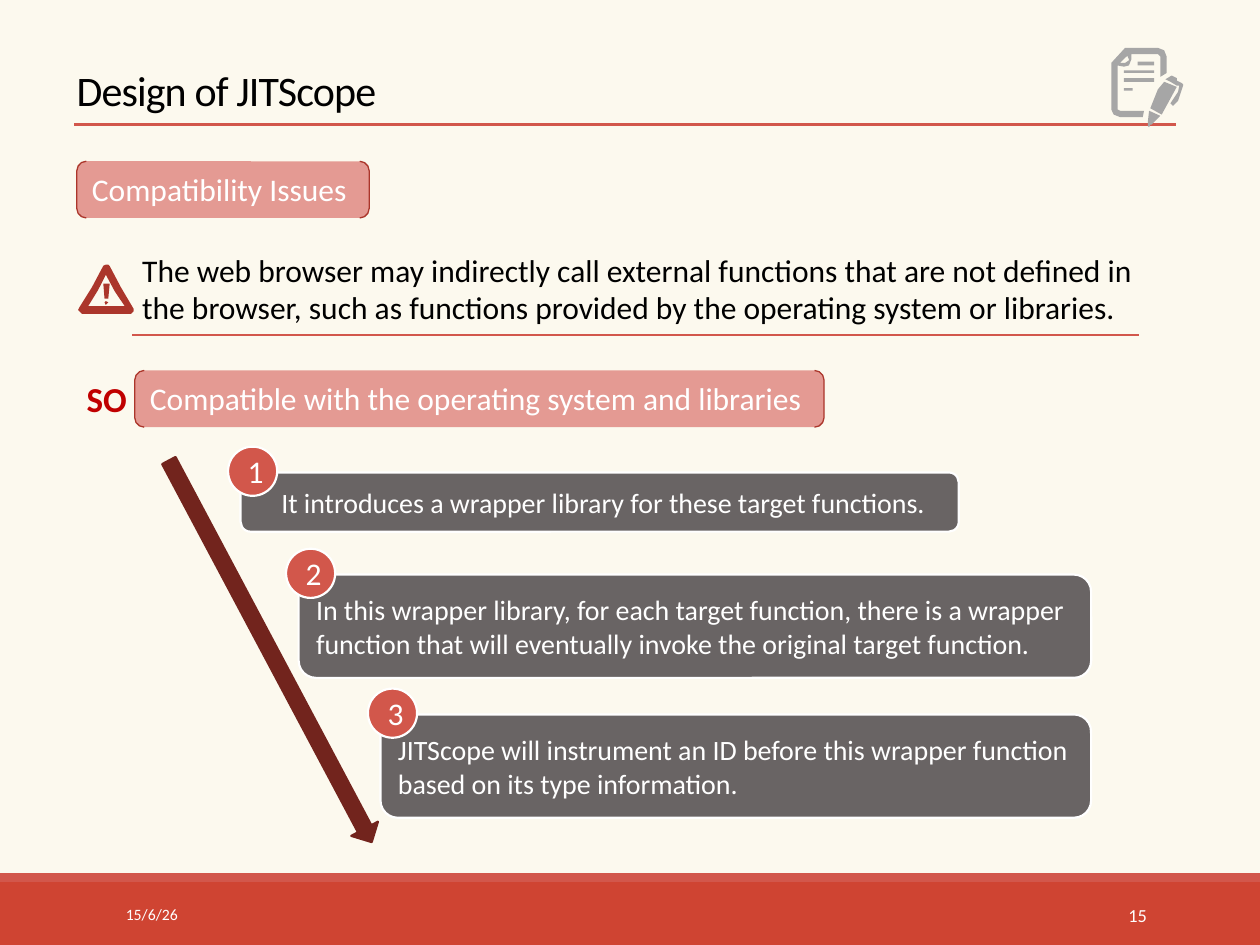
from lxml.etree import SubElement
from pptx import Presentation
from pptx.dml.color import RGBColor
from pptx.enum.shapes import MSO_CONNECTOR, MSO_SHAPE
from pptx.enum.text import MSO_ANCHOR, PP_ALIGN
from pptx.oxml.ns import qn
from pptx.util import Inches, Pt

COLS, ROWS = 100, 75
UNIT = Inches(10) / COLS
FONT = "Calibri"
HUES = {
    "paper": "FCF9EE", "band": "CF4432", "coral": "D2574B", "pink": "E49A93",
    "brick": "AB362B", "wine": "72241D", "slate": "696464", "gray": "A6A6A6",
    "red": "C00000", "white": "FFFFFF", "black": "000000",
}


def block(x0, y0, x1, y1):
    """Return the corners of a rectangle as one contour."""
    return [(x0, y0), (x1, y0), (x1, y1), (x0, y1)]


NOTE = [
    [(13, 0), (37, 0), (42, 2), (44, 7), (44, 20), (39, 23), (39, 7), (37, 5),
     (16, 5), (16, 9), (14, 14), (10, 15), (5, 14), (5, 49), (7, 50), (26, 50),
     (25, 55), (7, 55), (2, 53), (0, 49), (0, 12), (11, 0)],
    [(52, 26), (52, 24), (48, 22), (43, 25), (47, 27), (52, 30), (54, 30),
     (53, 35), (47, 44), (49, 46), (53, 42), (57, 30), (57, 29), (56, 28)],
    [(42, 27), (37, 33), (31, 48), (40, 53), (52, 31)],
    [(30, 50), (29, 59), (29, 62), (30, 63), (31, 61), (32, 61), (39, 54)],
    block(10, 32, 17, 34), block(10, 24, 34, 27),
    block(10, 18, 34, 20), block(21, 11, 34, 14),
    [(7, 12), (11, 12), (14, 10), (14, 9), (13, 7), (13, 6)],
]
ALERT = [
    [(25, 2), (34, 19), (44, 36), (44, 38), (42, 40), (3, 40), (0, 37),
     (1, 35), (11, 19), (20, 2), (22, 1), (24, 1)],
    [(22, 9), (16, 21), (8, 34), (37, 34), (29, 22)],
    [(20, 16), (21, 28), (24, 28), (25, 17), (25, 16)],
    [(22, 33), (24, 31), (22, 30), (21, 31)],
]
STEPS = [
    ((19.1, 37.5, 57, 4.7), 0.3,
     "It introduces a wrapper library for these target functions."),
    ((23.7, 45.6, 62.9, 8.2), 0.1,
     "In this wrapper library, for each target function, there is a wrapper "
     "function that will eventually invoke the original target function."),
    ((30.2, 56.7, 56.4, 8.2), 0.1,
     "JITScope will instrument an ID before this wrapper function "
     "based on its type information."),
]


def tone(name):
    """Return a named colour."""
    return RGBColor.from_string(HUES[name])


def grid(*cells):
    """Turn grid cells into lengths."""
    return [round(cell * UNIT) for cell in cells]


def paint(shape, fill, line=None, width=1.25):
    """Set the fill and outline of a shape."""
    shape.shadow.inherit = False
    shape.fill.solid()
    shape.fill.fore_color.rgb = tone(fill)
    if line:
        shape.line.color.rgb = tone(line)
        shape.line.width = Pt(width)
    else:
        shape.line.fill.background()
    return shape


def write(shape, text, size, hue="white", anchor=MSO_ANCHOR.TOP,
          align=PP_ALIGN.LEFT, bold=False):
    """Put one run of text in a shape."""
    frame = shape.text_frame
    frame.word_wrap = True
    frame.vertical_anchor = anchor
    para = frame.paragraphs[0]
    para.alignment = align
    run = para.add_run()
    run.text = text
    font = run.font
    font.name, font.size, font.bold = FONT, Pt(size), bold
    font.color.rgb = tone(hue)
    return para


def form(slide, kind, box, fill, line=None, width=1.25):
    """Add a painted preset shape in a grid box."""
    return paint(slide.shapes.add_shape(kind, *grid(*box)), fill, line, width)


def label(slide, box, text, size, **style):
    """Add a text box in a grid box."""
    return write(slide.shapes.add_textbox(*grid(*box)), text, size, **style)


def rule(slide, x0, x1, y, width):
    """Add a level coral line."""
    line = slide.shapes.add_connector(MSO_CONNECTOR.STRAIGHT, *grid(x0, y, x1, y))
    line.line.color.rgb = tone("coral")
    line.line.width = Pt(width)
    SubElement(line._element.spPr, qn("a:effectLst"))


def icon(slide, left, top, paths, fill):
    """Draw contours, in tenths of a cell, as one freeform."""
    pen = slide.shapes.build_freeform(*paths[0][0], scale=UNIT / 10)
    for path in paths:
        pen.move_to(*path[0])
        pen.add_line_segments(path[1:], close=True)
    paint(pen.convert_to_shape(*grid(left, top)), fill)


def footer(slide, top):
    """Draw the bottom band with date and page number."""
    form(slide, MSO_SHAPE.RECTANGLE, (0, top, COLS, ROWS - top), "band")
    form(slide, MSO_SHAPE.RECTANGLE, (0, top - 0.7, COLS, 0.7), "coral")
    mid = MSO_ANCHOR.MIDDLE
    label(slide, (9, top + 0.6, 20.3, 4), "15/6/26", 9, anchor=mid)
    label(slide, (81.2, top + 0.6, 10.8, 4), "15", 10.5, anchor=mid,
          align=PP_ALIGN.RIGHT)


def header(slide, left, top):
    """Draw the title, its rule and the note icon."""
    para = label(slide, (left, top, 75, 6), "Design of JITScope", 24,
                 hue="black", anchor=MSO_ANCHOR.BOTTOM)
    para.line_spacing = 0.85
    para.runs[0].font._element.set("spc", "-50")
    rule(slide, left + 0.8, left + 88.2, top + 6.3, 1.5)
    icon(slide, left + 83.1, top + 0.2, NOTE, "gray")


def tag(slide, box, text):
    """Draw a pink heading between brackets."""
    shape = form(slide, MSO_SHAPE.DOUBLE_BRACKET, box, "pink", "brick", 0.75)
    write(shape, text, 18)


def issue(slide, left, top):
    """Draw the problem statement with its alert icon."""
    tag(slide, (left, top, 23.2, 4.5), "Compatibility Issues")
    label(slide, (left + 4.2, top + 6.6, 82.1, 7.1),
          "The web browser may indirectly call external functions that are not "
          "defined in the browser, such as functions provided by the operating "
          "system or libraries.", 18, hue="black")
    icon(slide, left + 0.1, top + 8.1, ALERT, "brick")
    rule(slide, left + 4.4, left + 84.3, top + 13.8, 1)


def answer(slide, left, top):
    """Draw the conclusion and the slanted arrow below it."""
    tag(slide, (left + 4.8, top, 54.7, 4.5),
        "Compatible with the operating system and libraries")
    label(slide, (left, top + 0.1, 6.6, 4.4), "SO", 20, hue="red", bold=True)
    arrow = form(slide, MSO_SHAPE.RIGHT_ARROW,
                 (left - 1.6, top + 21.1, 34.3, 2.4), "wine", "wine")
    arrow.rotation = 62


def step(slide, box, num, inset, text):
    """Draw one step with its numbered badge."""
    mid = MSO_ANCHOR.MIDDLE
    card = form(slide, MSO_SHAPE.ROUNDED_RECTANGLE, box, "slate", "white")
    card.text_frame.margin_left = Inches(inset)
    write(card, text, 16, anchor=mid)
    badge = form(slide, MSO_SHAPE.OVAL, (box[0] - 1, box[1] - 2.05, 3.9, 3.9),
                 "coral", "white")
    write(badge, str(num), 18, anchor=mid, align=PP_ALIGN.CENTER)


def main():
    """Build and save the slide."""
    deck = Presentation()
    deck.slide_width, deck.slide_height = grid(COLS, ROWS)
    slide = deck.slides.add_slide(deck.slide_layouts[6])
    back = slide.background.fill
    back.solid()
    back.fore_color.rgb = tone("paper")
    footer(slide, 70)
    header(slide, 5.1, 3.6)
    issue(slide, 6.1, 12.8)
    answer(slide, 5.9, 29.4)
    for num, (box, inset, text) in enumerate(STEPS, 1):
        step(slide, box, num, inset, text)
    deck.save("out.pptx")


if __name__ == "__main__":
    main()
